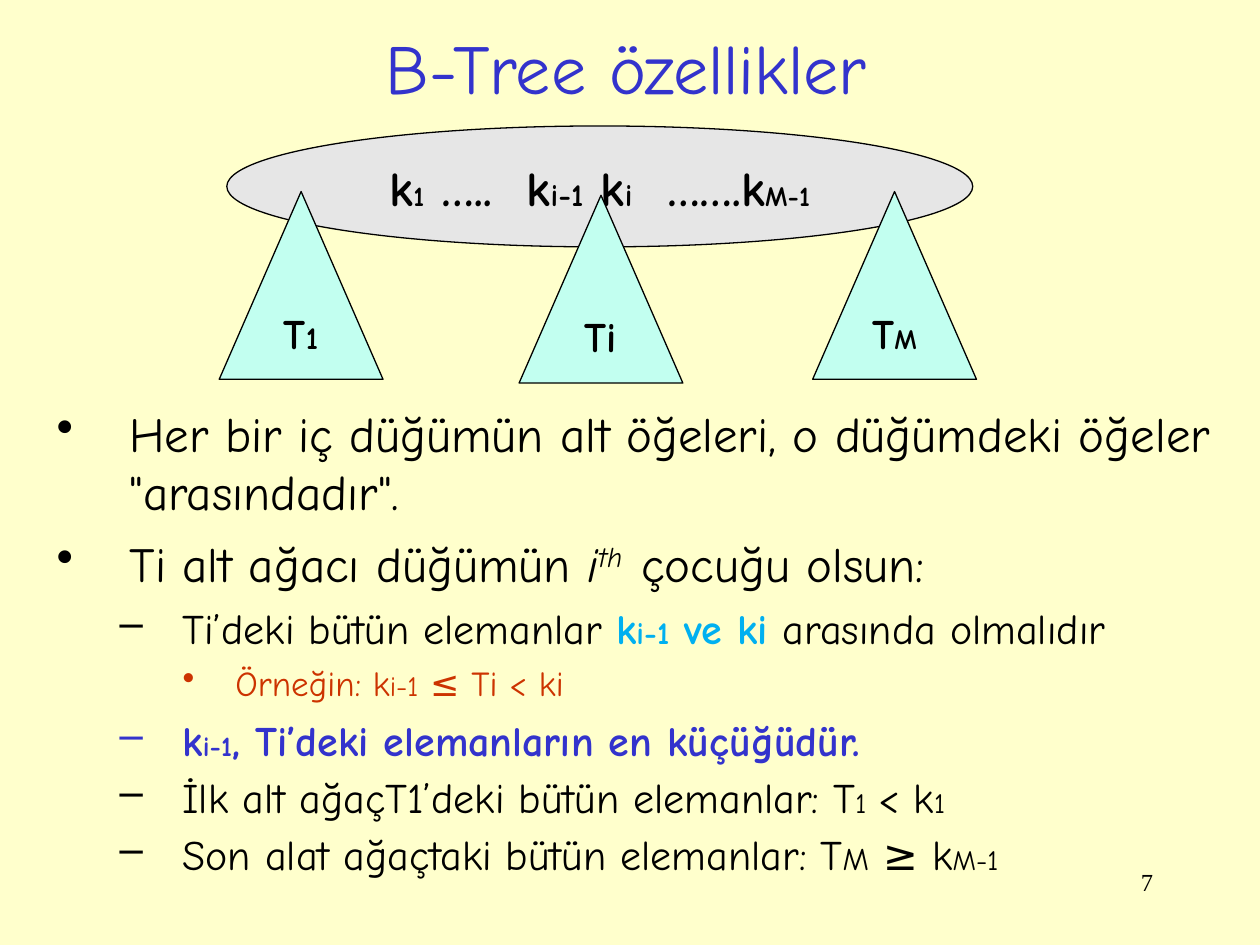
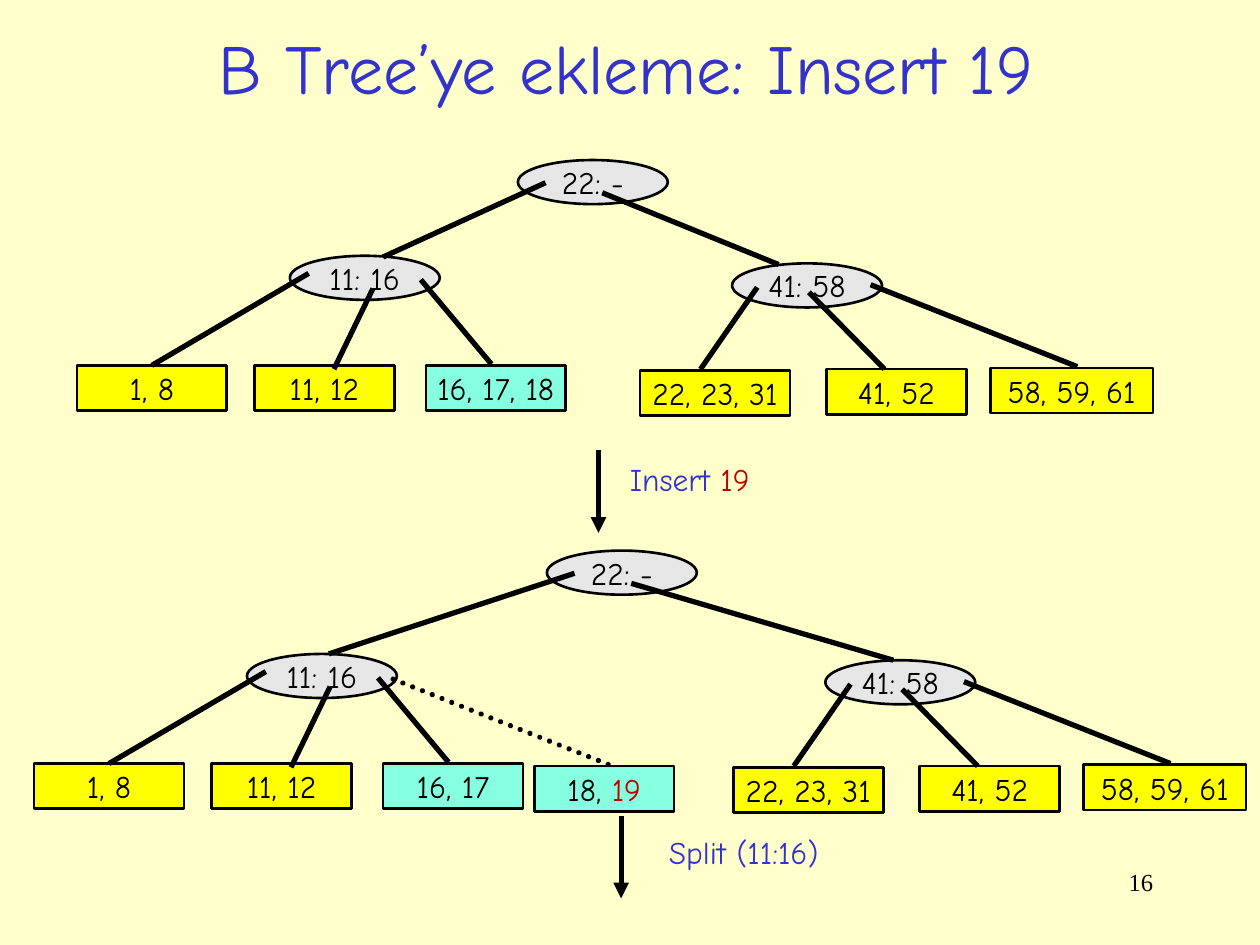
from lxml.etree import SubElement
from pptx import Presentation
from pptx.dml.color import RGBColor
from pptx.enum.dml import MSO_LINE
from pptx.enum.shapes import MSO_CONNECTOR, MSO_SHAPE
from pptx.enum.text import MSO_ANCHOR, MSO_AUTO_SIZE, PP_ALIGN
from pptx.oxml.ns import qn
from pptx.util import Inches, Pt

# Shared look
FONT, SERIF = "Comic Neue", "Times New Roman"
PAPER, BLACK, BLUE, RED = "FFFFCC", "000000", "3333CC", "C00000"
GREY, MINT, TEAL, GOLD = "E6E6E6", "C2FFF0", "85FFE0", "FFFF00"
CYAN, RUST = "00B0F0", "CC3300"

# Slide 1: a run is a string or (string, its own style)
S16, S18 = {"size": 16}, {"size": 18}
KEYS = ["k", ("1", S16), " …..  k", ("i-1", S18), " k", ("i", S18),
        "  …….k", ("M-1", S16)]
SUBS = [
    (1.74, 1.52, ["T", ("1", S18)]),
    (4.12, 1.55, ["Ti"]),
    (6.45, 1.52, ["T", ("M", S16)]),
]
HOT = {"color": CYAN, "bold": True}
# level, space before, colour, bold, runs
RULES = [
    (0, 7, BLACK, False, ['Her bir iç düğümün alt öğeleri, o düğümdeki öğeler "arasındadır".']),
    (0, 7, BLACK, False, ["Ti alt ağacı düğümün ", ("i", {"italic": True}),
                          ("th  ", {"italic": True, "base": 30}), "çocuğu olsun:"]),
    (1, 6, BLACK, False, ["Ti’deki bütün elemanlar ", ("k", HOT), ("i-1", HOT | S18),
                          (" ve ki ", HOT), "arasında olmalıdır"]),
    (2, 5, RUST, False, ["Örneğin: k", ("i-1", S16), " ≤ Ti < ki"]),
    (1, 6, BLUE, True, ["k", ("i-1", S16), ", Ti’deki elemanların en küçüğüdür."]),
    (1, 4, BLACK, False, ["İlk alt ağaçT1’deki bütün elemanlar: T", ("1", S16),
                          (" ", {"size": 20}), "< k", ("1", S16)]),
    (1, 4, BLACK, False, ["Son alat ağaçtaki bütün elemanlar: T", ("M", S18),
                          " ≥ k", ("M-1", S16)]),
]
# level: text size, left margin, hanging indent, bullet
LEVELS = [(28, 0.58, 0.58, "•"), (24, 1, 0.5, "–"), (20, 1.42, 0.42, "•")]

# Slide 2: leaf slots (x, y, width) and branches (start, end), measured from
# the parent node; a branch with no end joins the middle of its leaf's top
LEFT = [
    ((-1.69, 0.87, 1.19), (0.15, 0.14), None),
    ((-0.28, 0.87, 1.11), (0.66, 0.26), (0.35, 0.9)),
    ((1.08, 0.87, 1.11), (1.04, 0.19), (1.6, 0.86)),
    ((2.28, 0.89, 1.11), (1.16, 0.2), (2.9, 0.89)),
]
RIGHT = [
    ((-0.73, 0.85, 1.19), (0.2, 0.19), (-0.25, 0.84)),
    ((0.75, 0.84, 1.11), (0.61, 0.23), (1.21, 0.84)),
    ((2.05, 0.83, 1.29), (1.1, 0.17), (2.74, 0.82)),
]
FORKS = [(0.22, 0.18), (0.67, 0.26)]  # branch starts, from the root
HIGH = [(["22, 23, 31"], GOLD), (["41, 52"], GOLD), (["58, 59, 61"], GOLD)]
LOW = [(["1, 8"], GOLD), (["11, 12"], GOLD)]
# root, then per child: key, place, end of the root's branch, slots, leaves
TREES = [
    ((4.11, 1.27), [
        ("11: 16", (2.3, 2.03), (0.74, 0.01), LEFT, LOW + [(["16, 17, 18"], TEAL)]),
        ("41: 58", (5.81, 2.09), (0.37, 0.01), RIGHT, HIGH)]),
    ((4.34, 4.37), [
        ("11: 16", (1.96, 5.19), (0.65, 0), LEFT,
         LOW + [(["16, 17"], TEAL), (["18, ", ("19", {"color": RED})], TEAL)]),
        ("41: 58", (6.55, 5.24), (0.54, 0), RIGHT, HIGH)]),
]
# arrow x, top, bottom; label box; runs
STEPS = [
    (4.75, 3.57, 4.23, (4.9, 3.6, 1.15, 0.4), ["Insert ", ("19", {"color": RED})]),
    (4.93, 6.48, 7.13, (5.21, 6.56, 1.39, 0.4), ["Split (11:16)"]),
]


def rgb(code):
    return RGBColor.from_string(code)


def style(font, size=None, color=None, bold=None, italic=None, name=None):
    if size:
        font.size = Pt(size)
    if color:
        font.color.rgb = rgb(color)
    if name:
        font.name = name
    if bold is not None:
        font.bold = bold
    if italic is not None:
        font.italic = italic


def write(para, runs, size, color=BLACK, bold=False, align=None, name=FONT):
    para.alignment = align
    style(para.font, size, color, bold, name=name)
    for item in runs:
        text, own = (item, {}) if isinstance(item, str) else item
        own = dict(own)
        base = own.pop("base", None)
        run = para.add_run()
        run.text = text
        style(run.font, **own)
        if base:
            run._r.get_or_add_rPr().set("baseline", str(base * 1000))


def label(slide, box, runs, size, wrap=True, **look):
    shape = slide.shapes.add_textbox(*map(Inches, box))
    frame = shape.text_frame
    frame.word_wrap = wrap
    if not wrap:
        frame.auto_size = MSO_AUTO_SIZE.SHAPE_TO_FIT_TEXT
    write(frame.paragraphs[0], runs, size, **look)
    return frame


def block(slide, kind, box, runs, fill, size=18, width=1.5, bold=False):
    shape = slide.shapes.add_shape(kind, *map(Inches, box))
    shape.shadow.inherit = False
    shape.fill.solid()
    shape.fill.fore_color.rgb = rgb(fill)
    shape.line.color.rgb = rgb(BLACK)
    shape.line.width = Pt(width)
    frame = shape.text_frame
    frame.word_wrap = False
    frame.vertical_anchor = MSO_ANCHOR.MIDDLE
    write(frame.paragraphs[0], runs, size, bold=bold, align=PP_ALIGN.CENTER)
    return shape


def link(slide, start, end, dots=False, arrow=False):
    line = slide.shapes.add_connector(
        MSO_CONNECTOR.STRAIGHT, *map(Inches, (*start, *end)))
    line.line.color.rgb = rgb(BLACK)
    line.line.width = Pt(3)
    pen = line.line._get_or_add_ln()
    if dots:
        line.line.dash_style = MSO_LINE.ROUND_DOT
        pen.set("cap", "rnd")
    if arrow:
        SubElement(pen, qn("a:tailEnd"), type="triangle")
    SubElement(line._element.spPr, qn("a:effectLst"))
    return line


def shift(place, step):
    return place[0] + step[0], place[1] + step[1]


def page(deck, title, number):
    slide = deck.slides.add_slide(deck.slide_layouts[6])
    slide.background.fill.solid()
    slide.background.fill.fore_color.rgb = rgb(PAPER)
    label(slide, (7.17, 6.83, 2.08, 0.5), [number], 14,
          align=PP_ALIGN.RIGHT, name=SERIF)
    head = label(slide, (0.72, 0.15, 8.5, 0.76), [title], 40,
                 color=BLUE, align=PP_ALIGN.CENTER)
    head.vertical_anchor = MSO_ANCHOR.MIDDLE
    return slide


def bullet(para, level, before, color, bold, runs):
    size, left, hang, mark = LEVELS[level]
    para.level = level
    para.space_before = Pt(before)
    props = para._p.get_or_add_pPr()
    props.set("marL", str(Inches(left)))
    props.set("indent", str(-Inches(hang)))
    tint = SubElement(props, qn("a:buClr"))
    SubElement(tint, qn("a:srgbClr"), val=color)
    SubElement(props, qn("a:buChar"), char=mark)
    write(para, runs, size, color, bold)


def node(slide, place, key):
    block(slide, MSO_SHAPE.OVAL, (*place, 1.19, 0.35), [key], GREY)


def tree(slide, root, kids):
    node(slide, root, "22: -")
    for fork, (key, place, top, slots, leaves) in zip(FORKS, kids):
        node(slide, place, key)
        link(slide, shift(root, fork), shift(place, top))
        for i, ((x, y, wide), start, end) in enumerate(slots[:len(leaves)]):
            runs, fill = leaves[i]
            leaf = block(slide, MSO_SHAPE.RECTANGLE,
                         (*shift(place, (x, y)), wide, 0.36), runs, fill)
            line = link(slide, shift(place, start),
                        shift(place, end or (x + wide / 2, y)), dots=i == 3)
            if end is None:
                line.end_connect(leaf, 0)


def main():
    deck = Presentation()
    deck.slide_width, deck.slide_height = Inches(10), Inches(7.5)

    # Properties of the tree
    slide = page(deck, "B-Tree özellikler", "7")
    box = slide.shapes.add_textbox(*map(Inches, (0.35, 3.15, 9.41, 3.99)))
    frame = box.text_frame
    frame.word_wrap = True
    for i, rule in enumerate(RULES):
        bullet(frame.add_paragraph() if i else frame.paragraphs[0], *rule)
    block(slide, MSO_SHAPE.OVAL, (1.8, 1, 5.92, 0.96), KEYS, GREY, 28, 0.75, True)
    for x, y, runs in SUBS:
        block(slide, MSO_SHAPE.ISOSCELES_TRIANGLE, (x, y, 1.3, 1.49),
              runs, MINT, 24, 0.75, True)

    # Insertion, before and after
    slide = page(deck, "B Tree’ye ekleme: Insert 19", "16")
    for root, kids in TREES:
        tree(slide, root, kids)
    for x, top, foot, box, runs in STEPS:
        link(slide, (x, top), (x, foot), arrow=True)
        label(slide, box, runs, 18, wrap=False, color=BLUE)

    deck.save("out.pptx")


if __name__ == "__main__":
    main()
